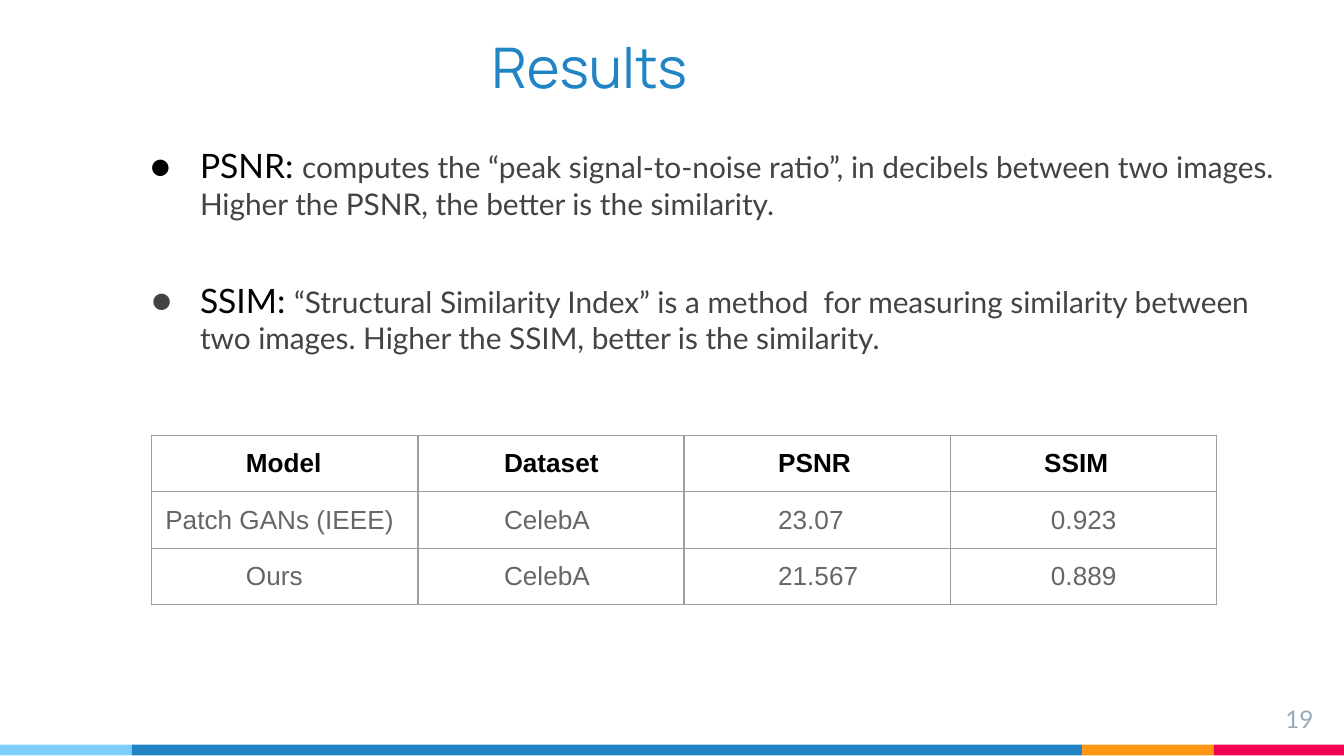
import pptx
import pptx.util
import pptx.dml.color
import pptx.enum.shapes
import pptx.enum.text
import pptx.oxml
import pptx.oxml.ns
from pptx.util import Inches

RGBColor = pptx.dml.color.RGBColor
BLUE = RGBColor(0x21, 0x85, 0xC5)
SKY = RGBColor(0x7E, 0xCE, 0xFD)
ORANGE = RGBColor(0xFF, 0x97, 0x15)
PINK = RGBColor(0xF2, 0x02, 0x53)
SLATE = RGBColor(0x97, 0xAB, 0xBC)
BLACK = RGBColor(0, 0, 0)
DARK_GREY = RGBColor(0x43, 0x43, 0x43)
GREY = RGBColor(0x66, 0x66, 0x66)
BORDER = RGBColor(0x9E, 0x9E, 0x9E)
NAMESPACE = pptx.oxml.ns.nsdecls("a")


def add_run(paragraph, text, size, font, color, bold=False):
    run = paragraph.add_run()
    run.text = text
    run.font.size = pptx.util.Pt(size)
    run.font.name = font
    run.font.bold = bold
    run.font.color.rgb = color


def add_text_frame(slide, left, top, width, height):
    frame = slide.shapes.add_textbox(
        Inches(left), Inches(top), Inches(width), Inches(height)).text_frame
    frame.word_wrap = True
    frame.margin_left = frame.margin_right = Inches(0.1)
    frame.margin_top = frame.margin_bottom = Inches(0.1)
    return frame


# Widescreen slide, 16 by 9
presentation = pptx.Presentation()
presentation.slide_width = Inches(10)
presentation.slide_height = Inches(10) * 9 // 16
slide = presentation.slides.add_slide(presentation.slide_layouts[6])

# Colour strip along the bottom
left = 0
for width, color in [(0.98, SKY), (7.07, BLUE), (0.98, ORANGE), (0.97, PINK)]:
    shape = slide.shapes.add_shape(
        pptx.enum.shapes.MSO_SHAPE.RECTANGLE,
        Inches(left), Inches(5.54), Inches(width), Inches(0.08))
    shape.shadow.inherit = False
    shape.fill.solid()
    shape.fill.fore_color.rgb = color
    shape.line.fill.background()
    left += width

# Title
frame = add_text_frame(slide, 0.98, 0.16, 8.34, 0.68)
frame.vertical_anchor = pptx.enum.text.MSO_ANCHOR.BOTTOM
paragraph = frame.paragraphs[0]
paragraph._p.get_or_add_pPr().set("marL", str(Inches(2.58)))
add_run(paragraph, "Results", 30, "Manrope", BLUE)

# Slide number
frame = add_text_frame(slide, 9.27, 5.14, 0.6, 0.34)
paragraph = frame.paragraphs[0]
paragraph.alignment = pptx.enum.text.PP_ALIGN.RIGHT
add_run(paragraph, "19", 13, "Lato", SLATE)

# Definitions of the two metrics
definitions = [
    ("PSNR: ", "computes the “peak signal-to-noise ratio”, in decibels between "
     "two images. Higher the PSNR, the better is the similarity.",
     BLACK, 16, -0.37, 6),
    ("SSIM: ", "“Structural Similarity Index” is a method  for measuring "
     "similarity between two images. Higher the SSIM, better is the similarity.",
     DARK_GREY, 14, -0.36, 31.2),
]
frame = add_text_frame(slide, 0.89, 0.98, 8.76, 4.5)
for index, (term, meaning, bullet_color, bullet_size, indent, space) in enumerate(definitions):
    paragraph = frame.add_paragraph() if index else frame.paragraphs[0]
    paragraph.space_before = pptx.util.Pt(space)
    properties = paragraph._p.get_or_add_pPr()
    properties.set("marL", str(Inches(0.5)))
    properties.set("indent", str(Inches(indent)))
    for bullet in (
            f'<a:buClr {NAMESPACE}><a:srgbClr val="{bullet_color}"/></a:buClr>',
            f'<a:buSzPts {NAMESPACE} val="{bullet_size * 100}"/>',
            f'<a:buFont {NAMESPACE} typeface="Lato"/>',
            f'<a:buChar {NAMESPACE} char="●"/>'):
        properties.append(pptx.oxml.parse_xml(bullet))
    add_run(paragraph, term, 18, "Lato", BLACK)
    add_run(paragraph, meaning, 16, "Lato", DARK_GREY)

# Results table: each cell holds its text and left indent
rows = [
    [("Model", 0.6), ("Dataset", 0.54), ("PSNR", 0.6), ("SSIM", 0.6)],
    [("Patch GANs (IEEE)", 0), ("CelebA", 0.54), ("23.07", 0.6), ("0.923", 0.65)],
    [("Ours", 0.6), ("CelebA", 0.54), ("21.567", 0.6), ("0.889", 0.65)],
]
table = slide.shapes.add_table(
    3, 4, Inches(1.13), Inches(3.24), Inches(7.92), Inches(1.26)).table
table.first_row = False
table.horz_banding = False
for column in table.columns:
    column.width = Inches(1.98)
for row_index, row in enumerate(rows):
    table.rows[row_index].height = Inches(0.42)
    is_header = row_index == 0
    for column_index, (text, indent) in enumerate(row):
        cell = table.cell(row_index, column_index)
        cell.margin_left = cell.margin_right = cell.margin_top = Inches(0.1)
        cell.margin_bottom = Inches(0.08)
        cell.fill.background()
        paragraph = cell.text_frame.paragraphs[0]
        paragraph._p.get_or_add_pPr().set("marL", str(Inches(indent)))
        add_run(paragraph, text, 14, "Arial", BLACK if is_header else GREY, is_header)
        for position, side in enumerate(("lnL", "lnR", "lnT", "lnB")):
            cell._tc.get_or_add_tcPr().insert(position, pptx.oxml.parse_xml(
                f'<a:{side} {NAMESPACE} w="{pptx.util.Pt(0.75)}"><a:solidFill>'
                f'<a:srgbClr val="{BORDER}"/></a:solidFill></a:{side}>'))

presentation.save("out.pptx")
